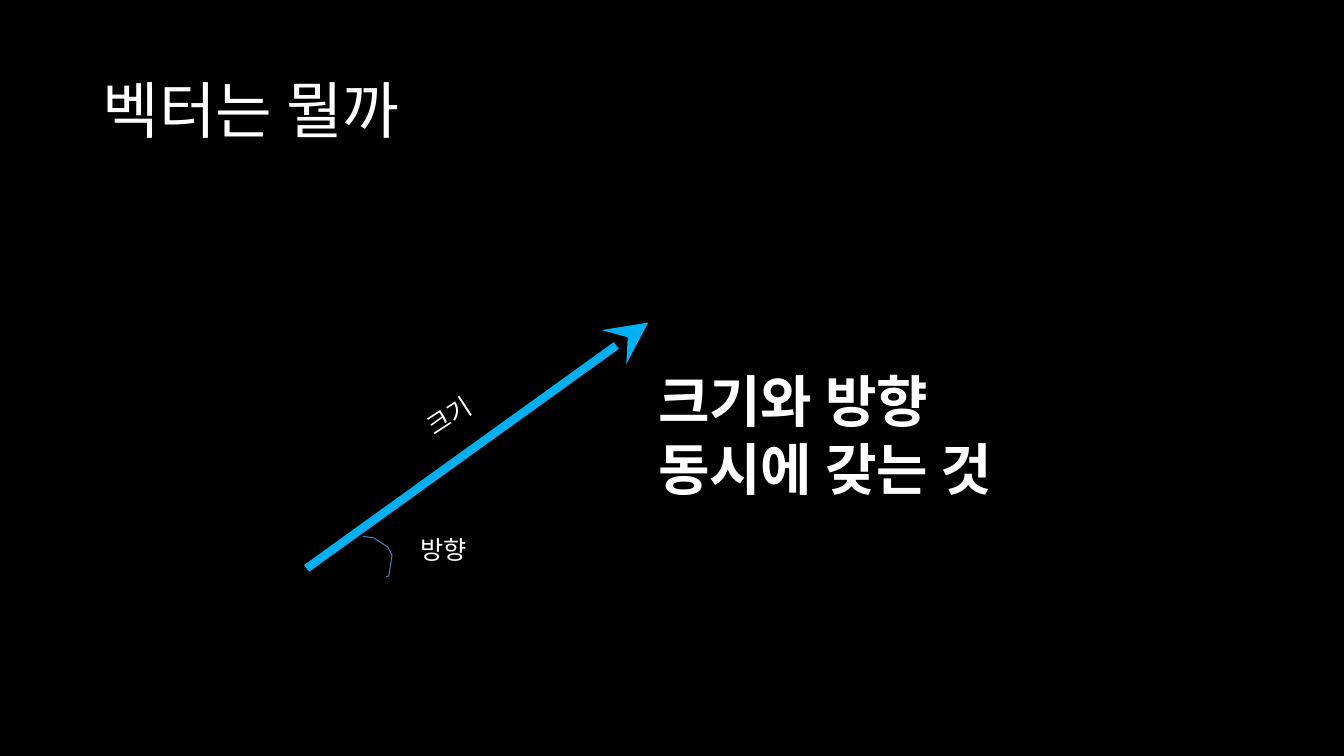
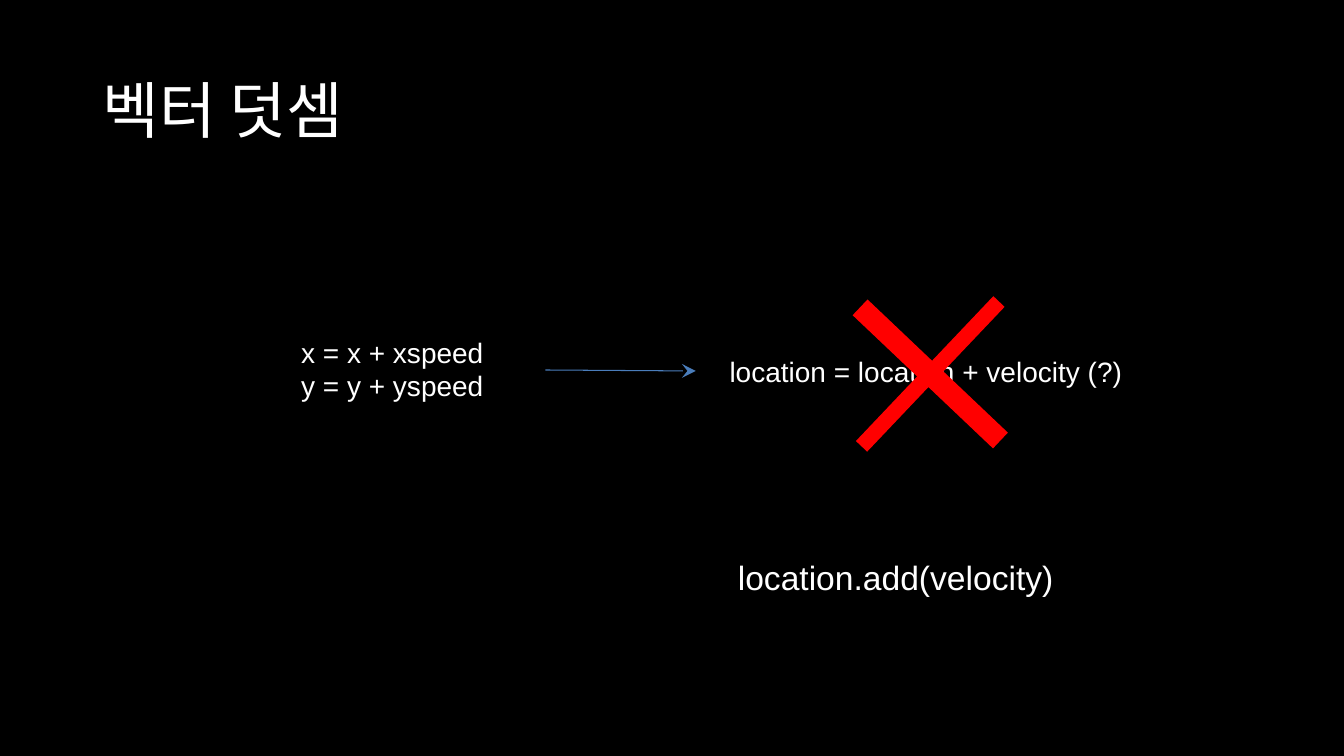
from dataclasses import dataclass

from pptx import Presentation
from pptx.dml.color import RGBColor
from pptx.enum.shapes import MSO_CONNECTOR, MSO_SHAPE
from pptx.enum.text import MSO_ANCHOR, PP_ALIGN
from pptx.oxml.ns import qn
from pptx.util import Pt
from lxml.etree import SubElement


@dataclass(frozen=True)
class Theme:
    background: RGBColor = RGBColor(0, 0, 0)
    text: RGBColor = RGBColor(255, 255, 255)
    vector: RGBColor = RGBColor(0x00, 0xB0, 0xF0)
    thin_line: RGBColor = RGBColor(0x4A, 0x7D, 0xBB)
    wrong: RGBColor = RGBColor(255, 0, 0)
    hangul_font: str = "Noto Sans CJK KR"
    body_font: str = "Arial"
    title_size: int = 44
    statement_size: int = 40
    result_size: int = 24
    formula_size: int = 20
    label_size: int = 18
    vector_width: float = 6
    thin_width: float = 0.75


THEME = Theme()
TITLE_ONLY = 5


def points(*lengths):
    return [Pt(length) for length in lengths]


def set_attributes(target, values):
    for key, value in values.items():
        setattr(target, key, value)


def format_run(run, size, font=THEME.body_font, bold=False):
    set_attributes(run.font, {"name": font, "size": Pt(size), "bold": bold})
    run.font.color.rgb = THEME.text
    SubElement(run.font._element, qn("a:ea"), typeface=THEME.hangul_font)


def style_master(deck):
    """Background and title frame that all slides inherit."""
    fill = deck.slide_master.background.fill
    fill.solid()
    fill.fore_color.rgb = THEME.background
    title = deck.slide_layouts[TITLE_ONLY].placeholders[0]
    left, top, width, height = points(66, 28.8, 828, 104.4)
    set_attributes(title, {"left": left, "top": top,
                           "width": width, "height": height})


def add_titled_slide(deck, heading):
    slide = deck.slides.add_slide(deck.slide_layouts[TITLE_ONLY])
    frame = slide.shapes.title.text_frame
    frame.text = heading
    frame.vertical_anchor = MSO_ANCHOR.MIDDLE
    paragraph = frame.paragraphs[0]
    set_attributes(paragraph, {"alignment": PP_ALIGN.LEFT, "line_spacing": 0.9})
    format_run(paragraph.runs[0], THEME.title_size, THEME.hangul_font)
    return slide


def add_text(slide, box, text, size, bold=False, rotation=0):
    textbox = slide.shapes.add_textbox(*points(*box))
    textbox.rotation = rotation
    frame = textbox.text_frame
    frame.word_wrap = True
    frame.text = text
    for paragraph in frame.paragraphs:
        format_run(paragraph.runs[0], size, bold=bold)


def add_arrow(slide, start, end, color, width):
    arrow = slide.shapes.add_connector(
        MSO_CONNECTOR.STRAIGHT, *points(*start, *end))
    arrow.line.color.rgb = color
    arrow.line.width = Pt(width)
    SubElement(arrow.line._get_or_add_ln(), qn("a:tailEnd"),
               type="stealth", w="lg", len="lg")
    SubElement(arrow._element.spPr, qn("a:effectLst"))


def add_curve(slide, vertices):
    first, *rest = [points(*vertex) for vertex in vertices]
    builder = slide.shapes.build_freeform(*first)
    builder.add_line_segments(rest, close=False)
    curve = builder.convert_to_shape()
    curve.shadow.inherit = False
    curve.fill.background()
    curve.line.color.rgb = THEME.thin_line
    curve.line.width = Pt(THEME.thin_width)


def add_cross(slide, box, rotation):
    cross = slide.shapes.add_shape(MSO_SHAPE.CROSS, *points(*box))
    cross.adjustments[0] = 0.46
    cross.rotation = rotation
    cross.shadow.inherit = False
    cross.fill.solid()
    cross.fill.fore_color.rgb = THEME.wrong
    cross.line.fill.background()


def build_vector_definition(deck):
    slide = add_titled_slide(deck, "벡터는 뭘까")
    # Vector and its meaning
    add_arrow(slide, (219, 406), (463, 230.4), THEME.vector, THEME.vector_width)
    add_text(slide, (463, 258.5, 325.5, 104.4), "크기와 방향\n동시에 갖는 것",
             THEME.statement_size, bold=True)
    # Magnitude and direction
    add_text(slide, (296.6, 281.5, 51, 29), "크기", THEME.label_size, rotation=327)
    add_curve(slide, [(259, 383), (267.2, 384.3), (277, 390.8),
                      (280, 396.4), (277.8, 411.4), (275.8, 412)])
    add_text(slide, (293, 378, 51, 29), "방향", THEME.label_size)


def build_vector_addition(deck):
    slide = add_titled_slide(deck, "벡터 덧셈")
    # From components to one vector
    add_text(slide, (208, 236, 145, 55.5), "x = x + xspeed\ny = y + yspeed",
             THEME.formula_size)
    add_text(slide, (514, 249.8, 303, 31.5),
             "location = location + velocity (?)", THEME.formula_size)
    add_arrow(slide, (389.5, 264.3), (497, 265), THEME.thin_line,
              THEME.thin_width)
    add_cross(slide, (595.4, 195.8, 138.2, 142.6), 43.5)
    # Correct call
    add_text(slide, (520, 394.6, 242.6, 36), "location.add(velocity)",
             THEME.result_size)


def main():
    deck = Presentation()
    set_attributes(deck, {"slide_width": Pt(960), "slide_height": Pt(540)})
    style_master(deck)
    build_vector_definition(deck)
    build_vector_addition(deck)
    deck.save("out.pptx")


if __name__ == "__main__":
    main()
